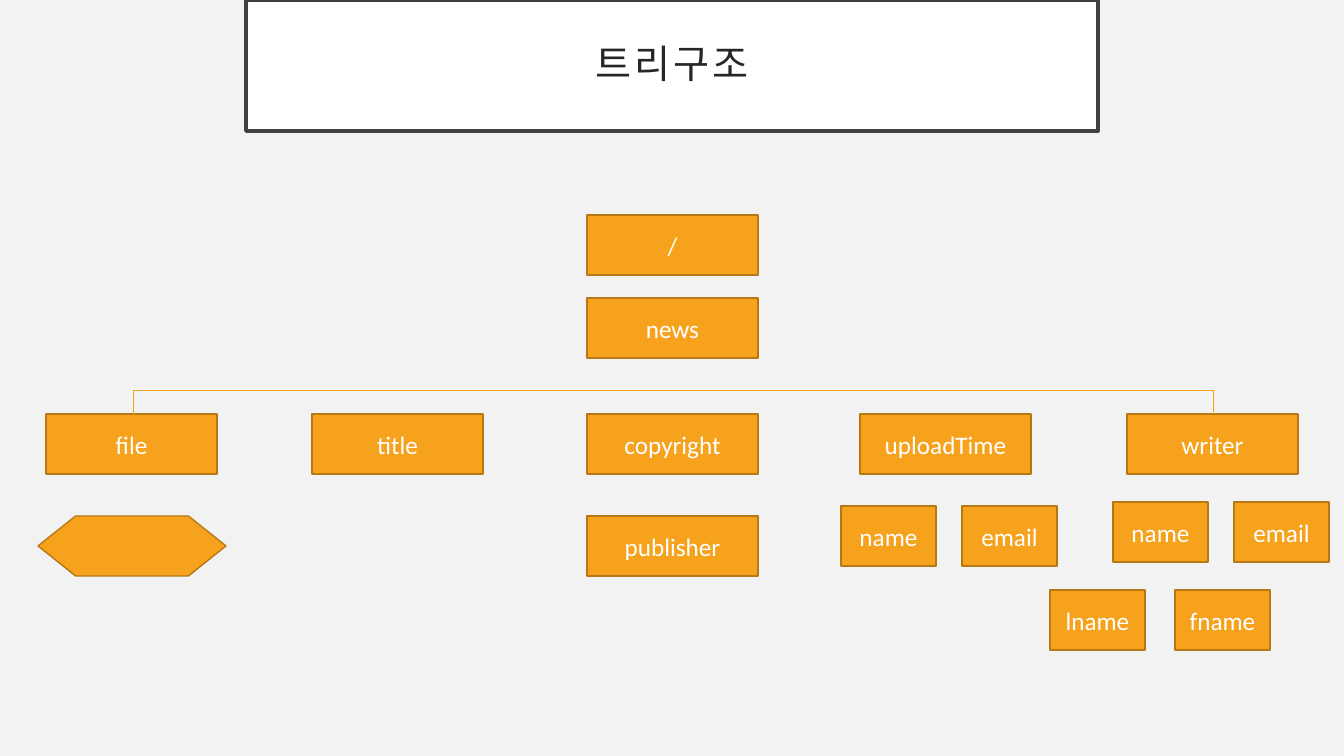
from dataclasses import dataclass

from lxml.etree import SubElement
from pptx import Presentation
from pptx.dml.color import RGBColor
from pptx.enum.shapes import MSO_CONNECTOR as Connector, MSO_SHAPE as Shape
from pptx.enum.text import MSO_ANCHOR as Anchor, PP_ALIGN as Align
from pptx.oxml.ns import qn
from pptx.util import Pt

EMU_PER_PX = 914400 / 100.8


def px(length):
    return round(length * EMU_PER_PX)


@dataclass(frozen=True)
class Theme:
    font: str = "Calibri"
    background: str = "F2F2F2"
    panel: str = "FFFFFF"
    panel_line: str = "404040"
    title_text: str = "262626"
    node: str = "F6A21D"
    node_line: str = "B67815"
    node_text: str = "FFFFFF"
    title_size: int = 28
    node_size: int = 18


def write(shape, text, font, size, color, tracking=0, line_spacing=None):
    """Put one centred line of text in a shape."""
    frame = shape.text_frame
    frame.word_wrap = True
    frame.vertical_anchor = Anchor.MIDDLE
    paragraph = frame.paragraphs[0]
    paragraph.alignment = Align.CENTER
    if line_spacing:
        paragraph.line_spacing = line_spacing
    run = paragraph.add_run()
    run.text = text
    run.font.name = font
    run.font.size = Pt(size)
    run.font.color.rgb = RGBColor.from_string(color)
    if tracking:
        run.font._element.set("spc", str(tracking * 100))


class TreeSlide:
    def __init__(self, presentation, theme):
        self.theme = theme
        self.slide = presentation.slides.add_slide(presentation.slide_layouts[5])
        self.paint(self.slide.background.fill, theme.background)

    def paint(self, fill, color):
        fill.solid()
        fill.fore_color.rgb = RGBColor.from_string(color)

    def outline(self, line, color, width):
        self.paint(line.fill, color)
        line.width = Pt(width)

    def title(self, text, left, top, width, height, inset):
        theme = self.theme
        shape = self.slide.shapes.title
        shape.left, shape.top, shape.width, shape.height = map(px, (left, top, width, height))
        self.paint(shape.fill, theme.panel)
        self.outline(shape.line, theme.panel_line, 2.5)
        frame = shape.text_frame
        frame.margin_left = frame.margin_right = px(inset)
        frame.margin_top = frame.margin_bottom = px(inset)
        write(shape, text, theme.font, theme.title_size, theme.title_text,
              tracking=2, line_spacing=0.9)

    def node(self, text, left, top, width, height=60, kind=Shape.RECTANGLE):
        theme = self.theme
        shape = self.slide.shapes.add_shape(kind, *map(px, (left, top, width, height)))
        shape.shadow.inherit = False
        self.paint(shape.fill, theme.node)
        self.outline(shape.line, theme.node_line, 1)
        if text:
            write(shape, text, theme.font, theme.node_size, theme.node_text)

    def bracket(self, start, end, rise):
        """Elbow line going up from start, across, and down to a slightly higher end."""
        (x1, y1), (x2, y2) = start, end
        center_x, center_y = (x1 + x2) / 2, (y1 + y2) / 2
        depth, span = y1 - y2, x2 - x1
        # The elbow is laid out upright, then turned a quarter
        connector = self.slide.shapes.add_connector(
            Connector.ELBOW,
            px(center_x + depth / 2), px(center_y + span / 2),
            px(center_x - depth / 2), px(center_y - span / 2))
        self.outline(connector.line, self.theme.node, 0.5)
        properties = connector._element.spPr
        properties.find(qn("a:xfrm")).set("rot", str(90 * 60000))
        adjustments = properties.find(qn("a:prstGeom")).find(qn("a:avLst"))
        SubElement(adjustments, qn("a:gd"), name="adj1",
                   fmla=f"val {round(rise / depth * 100000)}")
        SubElement(properties, qn("a:effectLst"))


def main():
    presentation = Presentation()
    presentation.slide_width, presentation.slide_height = px(1344), px(756)
    tree = TreeSlide(presentation, Theme())
    tree.title("트리구조", 246, 0, 852, 131, inset=20)

    # Wide nodes: trunk, row of children, publisher
    wide, middle, row_top = 171, 587, 414
    for text, left, top in (
        ("/", middle, 215), ("news", middle, 298),
        ("file", 46, row_top), ("title", 312, row_top), ("copyright", middle, row_top),
        ("uploadTime", 860, row_top), ("writer", 1127, row_top),
        ("publisher", middle, 516),
    ):
        tree.node(text, left, top, wide)

    # Pairs of narrow nodes
    narrow = 95
    for top, left, right, texts in (
        (506, 841, 962, ("name", "email")),
        (502, 1113, 1234, ("name", "email")),
        (590, 1050, 1175, ("lname", "fname")),
    ):
        for text, x in zip(texts, (left, right)):
            tree.node(text, x, top, narrow)

    # Attribute of file, and the line over the row
    tree.node("", 38, 516, 188, kind=Shape.FLOWCHART_PREPARATION)
    tree.bracket((133, row_top + 1), (1213, row_top), rise=25)

    presentation.save("out.pptx")


if __name__ == "__main__":
    main()
